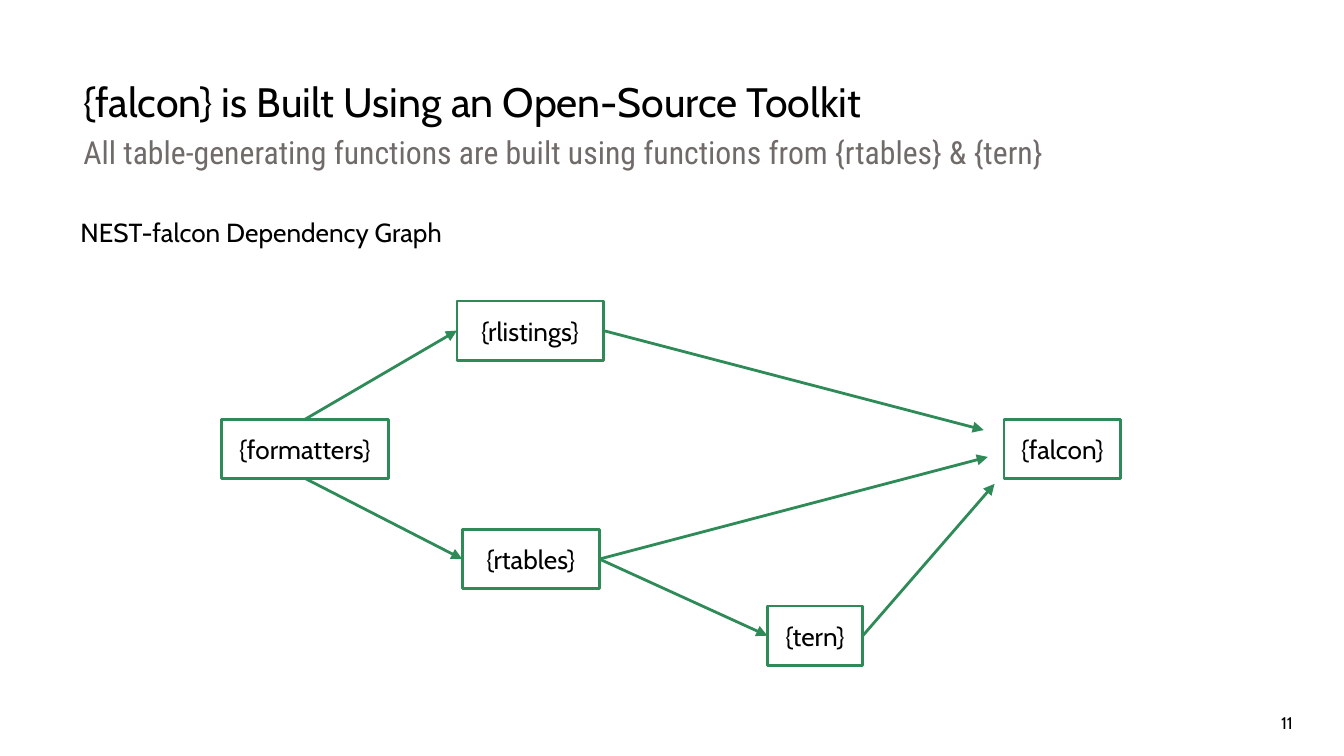
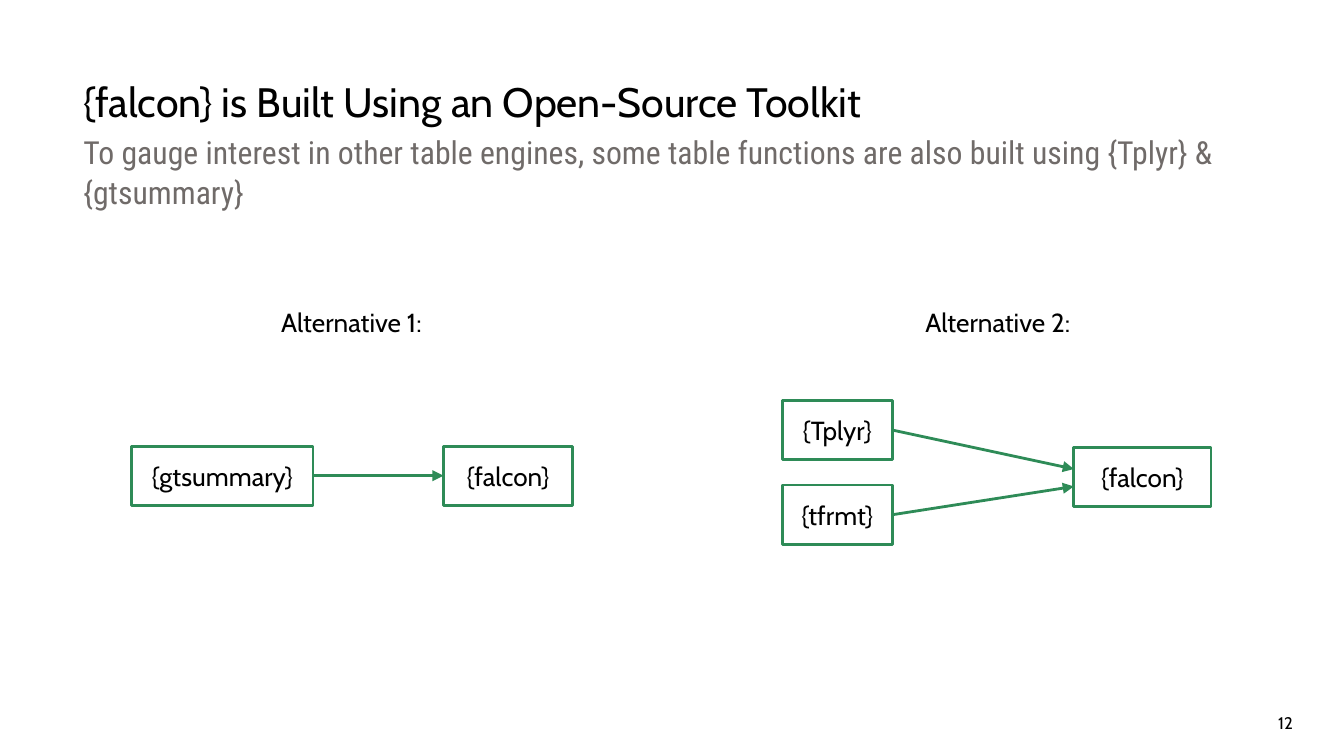
import pptx
import pptx.util
import pptx.dml.color
import pptx.enum.shapes
import pptx.enum.text
import pptx.oxml.ns
import lxml.etree

Inch = pptx.util.Inches
Align = pptx.enum.text.PP_ALIGN
Anchor = pptx.enum.text.MSO_ANCHOR
Kind = pptx.enum.shapes

THEME = {
    "size": (10, 10 * 9 / 16),
    "line": "2E8B57",
    "width": 1.5,
    "row": 0.44,   # height of every node
    "pad": 0.1,
    "title": {"font": "Cabin", "size": 22, "color": "000000",
              "pads": (0, 0.1, 0.1, 0.1)},
    "sub": {"font": "Roboto Condensed", "size": 17, "color": "706B69",
            "pads": (0, 0, 0.1, 0.02), "spacing": 1.05},
    "body": {"font": "Cabin", "size": 14, "color": "000000"},
    "page": {"font": "Cabin", "size": 9, "color": "000000",
             "pads": (0.1, 0.13, 0, 0.1)},
}
TITLE = "{falcon} is Built Using an Open-Source Toolkit"
TOP, LEFT, BOTTOM, RIGHT = range(4)  # connection sites of a rectangle

# labels: text, box, align, anchor
# nodes: key -> text, left, top, width
# links: (key, site) to (key, site), or to a free point
SLIDES = [
    {
        "page": "11",
        "sub": "All table-generating functions are built using functions "
               "from {rtables} & {tern}",
        "wide": 8.13,
        "labels": [("NEST-falcon Dependency Graph", (0.5, 1.51, 3.61, 0.54),
                    Align.LEFT, Anchor.TOP)],
        "nodes": {
            "format": ("{formatters}", 1.65, 3.12, 1.24),
            "tables": ("{rtables}", 3.44, 3.94, 1.02),
            "lists": ("{rlistings}", 3.4, 2.24, 1.09),
            "tern": ("{tern}", 5.71, 4.51, 0.71),
            "falcon": ("{falcon}", 7.47, 3.12, 0.87),
        },
        "links": [
            (("format", TOP), ("lists", LEFT)),
            (("format", BOTTOM), ("tables", LEFT)),
            (("tables", RIGHT), ("tern", LEFT)),
            (("tern", RIGHT), (7.4, 3.6)),
            (("tables", RIGHT), (7.35, 3.4)),
            (("lists", RIGHT), (7.32, 3.2)),
        ],
    },
    {
        "page": "12",
        "sub": "To gauge interest in other table engines, some table functions "
               "are also built using {Tplyr} & {gtsummary}",
        "wide": 8.69,
        "labels": [(f"Alternative {n}:", (left, 2.13, 1.45, 0.54),
                    Align.CENTER, Anchor.MIDDLE)
                   for n, left in ((1, 1.89), (2, 6.7))],
        "nodes": {
            "summary": ("{gtsummary}", 0.98, 3.32, 1.35),
            "first": ("{falcon}", 3.3, 3.32, 0.96),
            "tfrmt": ("{tfrmt}", 5.82, 3.61, 0.82),
            "tplyr": ("{Tplyr}", 5.82, 2.98, 0.82),
            "second": ("{falcon}", 7.99, 3.33, 1.02),
        },
        "links": [
            (("summary", RIGHT), ("first", LEFT)),
            (("tplyr", RIGHT), (7.99, 3.49)),
            (("tfrmt", RIGHT), (7.99, 3.62)),
        ],
    },
]


def paint(code):
    return pptx.dml.color.RGBColor.from_string(code)


def write(shape, text, style, align=Align.LEFT, anchor=Anchor.TOP):
    frame = shape.text_frame
    pads = style.get("pads", (THEME["pad"],) * 4)
    form = {"word_wrap": True, "vertical_anchor": anchor}
    for side, pad in zip(("left", "top", "right", "bottom"), pads):
        form[f"margin_{side}"] = Inch(pad)
    for name, value in form.items():
        setattr(frame, name, value)
    para = frame.paragraphs[0]
    para.alignment = align
    if "spacing" in style:
        para.line_spacing = style["spacing"]
    run = para.add_run()
    run.text = text
    run.font.name = style["font"]
    run.font.size = pptx.util.Pt(style["size"])
    run.font.color.rgb = paint(style["color"])


def label(slide, text, box, style, *form):
    shape = slide.shapes.add_textbox(*map(Inch, box))
    write(shape, text, THEME[style], *form)


def trace(line):
    line.color.rgb = paint(THEME["line"])
    line.width = pptx.util.Pt(THEME["width"])


def node(slide, text, left, top, wide):
    shape = slide.shapes.add_shape(
        Kind.MSO_SHAPE.RECTANGLE, *map(Inch, (left, top, wide, THEME["row"])))
    shape.shadow.inherit = False
    shape.fill.background()
    trace(shape.line)
    write(shape, text, THEME["body"], Align.CENTER, Anchor.MIDDLE)
    shape.text_frame.auto_size = pptx.enum.text.MSO_AUTO_SIZE.SHAPE_TO_FIT_TEXT
    return shape


def link(slide, boxes, start, end):
    """Draw an arrow from a node's site to another site or a free point."""
    free = end[0] not in boxes
    goal = tuple(map(Inch, end)) if free else (0, 0)
    arrow = slide.shapes.add_connector(
        Kind.MSO_CONNECTOR.STRAIGHT, 0, 0, *goal)
    arrow.begin_connect(boxes[start[0]], start[1])
    if not free:
        arrow.end_connect(boxes[end[0]], end[1])
    trace(arrow.line)
    qn = pptx.oxml.ns.qn
    tail = lxml.etree.SubElement(arrow.line._get_or_add_ln(), qn("a:tailEnd"))
    tail.set("type", "triangle")
    lxml.etree.SubElement(arrow._element.spPr, qn("a:effectLst"))


def build(deck, data):
    slide = deck.slides.add_slide(deck.slide_layouts[6])
    label(slide, data["page"], (9.02, 5.21, 0.6, 0.28), "page", Align.RIGHT)
    label(slide, TITLE, (0.62, 0.47, 8.13, 0.42), "title")
    label(slide, data["sub"], (0.62, 0.97, data["wide"], 0.35), "sub")
    for text, box, *form in data["labels"]:
        label(slide, text, box, "body", *form)
    boxes = {key: node(slide, *spot) for key, spot in data["nodes"].items()}
    for start, end in data["links"]:
        link(slide, boxes, start, end)


def main():
    deck = pptx.Presentation()
    deck.slide_width, deck.slide_height = map(Inch, THEME["size"])
    for data in SLIDES:
        build(deck, data)
    deck.save("out.pptx")


if __name__ == "__main__":
    main()
